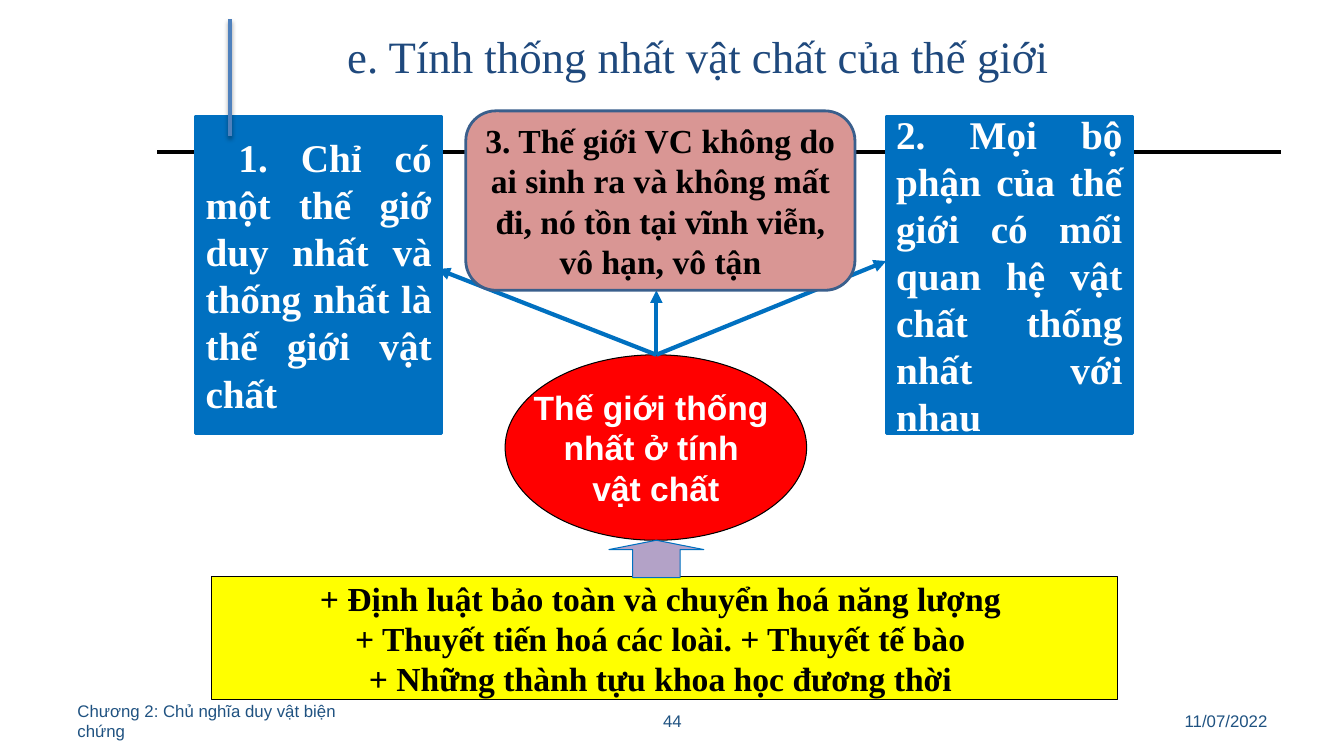
"""Builds the slide on the material unity of the world."""
from dataclasses import dataclass

from lxml.etree import SubElement
from pptx import Presentation
from pptx.dml.color import RGBColor
from pptx.enum.shapes import MSO_CONNECTOR, MSO_SHAPE
from pptx.enum.text import MSO_ANCHOR, MSO_AUTO_SIZE, PP_ALIGN
from pptx.oxml.ns import qn
from pptx.util import Inches, Pt

SERIF, SANS = "Times New Roman", "Arial"
BLACK, WHITE, BLUE, NAVY = "000000", "FFFFFF", "0070C0", "1F5281"


@dataclass
class Style:
    size: float
    font: str
    color: str
    bold: bool = False
    align: PP_ALIGN = PP_ALIGN.CENTER


@dataclass
class Panel:
    kind: MSO_SHAPE
    left: float
    top: float
    width: float
    height: float
    fill: str
    line: str
    weight: float
    style: Style | None = None
    lines: tuple[str, ...] = ()
    wrap: bool = True


@dataclass
class Stroke:
    start: tuple[float, float]
    end: tuple[float, float]
    color: str
    arrow: bool = False
    shadow: bool = False


@dataclass
class Label:
    left: float
    width: float
    text: str
    align: PP_ALIGN


CLAIM = Style(28, SERIF, WHITE, True, PP_ALIGN.JUSTIFY)
CENTRAL = Style(24, SERIF, BLACK, True)
CORE = Style(24, SANS, WHITE, True)

CORE_TOP = (6.51, 3.52)
RULES = [Stroke((1.56, 1.51), (12.71, 1.51), BLACK)]
ARROWS = [Stroke(CORE_TOP, end, BLUE, arrow=True)
          for end in ((6.51, 2.88), (4.34, 2.67), (8.79, 2.59))]
ACCENT = Stroke((2.28, 0.19), (2.28, 1.35), "4F81BD", shadow=True)

BASE_PANELS = [
    Panel(MSO_SHAPE.OVAL, 5.01, 3.52, 2.99, 1.84, "FF0000", BLACK, 0.75, CORE,
          ("Thế giới thống ", "nhất ở tính ", "vật chất"), False),
    Panel(MSO_SHAPE.RECTANGLE, 2.1, 5.72, 8.98, 1.22, "FFFF00", BLACK, 0.75, CENTRAL,
          ("+ Định luật bảo toàn và chuyển hoá năng lượng ",
           "+ Thuyết tiến hoá các loài. + Thuyết tế bào ",
           "+ Những thành tựu khoa học đương thời "), False),
    Panel(MSO_SHAPE.UP_ARROW, 6.04, 5.36, 0.94, 0.37, "B3A2C7", BLUE, 0.75),
]
CLAIM_PANELS = [
    Panel(MSO_SHAPE.RECTANGLE, left, 1.15, 2.44, 3.15, BLUE, BLUE, 2, CLAIM, (text,))
    for left, text in (
        (1.94, " 1. Chỉ có một thế giớ duy nhất và thống nhất là thế giới vật chất"),
        (8.79, "2. Mọi bộ phận của thế giới có mối quan hệ vật chất thống nhất với nhau"))
] + [
    Panel(MSO_SHAPE.ROUNDED_RECTANGLE, 4.62, 1.1, 3.86, 1.78, "D99694", "3A5F8C", 2, CENTRAL,
          ("3. Thế giới VC không do ai sinh ra và không mất đi, "
           "nó tồn tại vĩnh viễn, vô hạn, vô tận",)),
]
FOOTERS = [
    Label(9.56, 3.11, "11/07/2022", PP_ALIGN.RIGHT),
    Label(0.67, 3.11, "Chương 2: Chủ nghĩa duy vật biện chứng", PP_ALIGN.LEFT),
    Label(4.56, 4.22, "44", PP_ALIGN.CENTER),
]


def rgb(color: str) -> RGBColor:
    return RGBColor.from_string(color)


def write(shape, lines: tuple[str, ...], style: Style, wrap: bool = True) -> None:
    frame = shape.text_frame
    frame.auto_size = MSO_AUTO_SIZE.NONE
    frame.word_wrap = wrap
    frame.vertical_anchor = MSO_ANCHOR.MIDDLE
    for index, line in enumerate(lines):
        para = frame.add_paragraph() if index else frame.paragraphs[0]
        para.text = line
        para.alignment = style.align
        para.font.size = Pt(style.size)
        para.font.name = style.font
        para.font.bold = style.bold
        para.font.color.rgb = rgb(style.color)


def draw_panel(page, panel: Panel) -> None:
    shape = page.shapes.add_shape(panel.kind, Inches(panel.left), Inches(panel.top),
                                  Inches(panel.width), Inches(panel.height))
    shape.shadow.inherit = False
    if panel.kind == MSO_SHAPE.UP_ARROW:
        shape.adjustments[0], shape.adjustments[1] = 0.5, 0.25
    shape.fill.solid()
    shape.fill.fore_color.rgb = rgb(panel.fill)
    shape.line.color.rgb = rgb(panel.line)
    shape.line.width = Pt(panel.weight)
    if panel.style:
        write(shape, panel.lines, panel.style, panel.wrap)


def draw_stroke(page, stroke: Stroke) -> None:
    points = [Inches(value) for value in stroke.start + stroke.end]
    connector = page.shapes.add_connector(MSO_CONNECTOR.STRAIGHT, *points)
    connector.line.color.rgb = rgb(stroke.color)
    connector.line.width = Pt(3)
    if stroke.arrow:
        SubElement(connector.line._get_or_add_ln(), qn("a:tailEnd"), type="triangle")
    effects = SubElement(connector._element.spPr, qn("a:effectLst"))
    if stroke.shadow:
        shadow = SubElement(effects, qn("a:outerShdw"), blurRad=str(Pt(3.1)),
                            dist=str(Pt(1.8)), dir="5400000", rotWithShape="0")
        tint = SubElement(shadow, qn("a:srgbClr"), val=BLACK)
        SubElement(tint, qn("a:alpha"), val="35000")


def draw_title(page) -> None:
    title = page.shapes.title
    title.left, title.top = Inches(2.18), Inches(0)
    title.width, title.height = Inches(9.49), Inches(1.1)
    write(title, ("e. Tính thống nhất vật chất của thế giới",), Style(32, SERIF, "1F497D"))


def draw_footer(page, label: Label) -> None:
    box = page.shapes.add_textbox(Inches(label.left), Inches(6.95),
                                  Inches(label.width), Inches(0.4))
    write(box, (label.text,), Style(12, SANS, NAVY, align=label.align))


def main() -> None:
    deck = Presentation()
    deck.slide_width, deck.slide_height = Inches(13.33), Inches(7.5)
    page = deck.slides.add_slide(deck.slide_layouts[5])
    draw_title(page)
    for stroke in RULES:
        draw_stroke(page, stroke)
    for panel in BASE_PANELS:
        draw_panel(page, panel)
    for stroke in ARROWS:
        draw_stroke(page, stroke)
    for panel in CLAIM_PANELS:
        draw_panel(page, panel)
    draw_stroke(page, ACCENT)
    for label in FOOTERS:
        draw_footer(page, label)
    deck.save("out.pptx")


if __name__ == "__main__":
    main()
